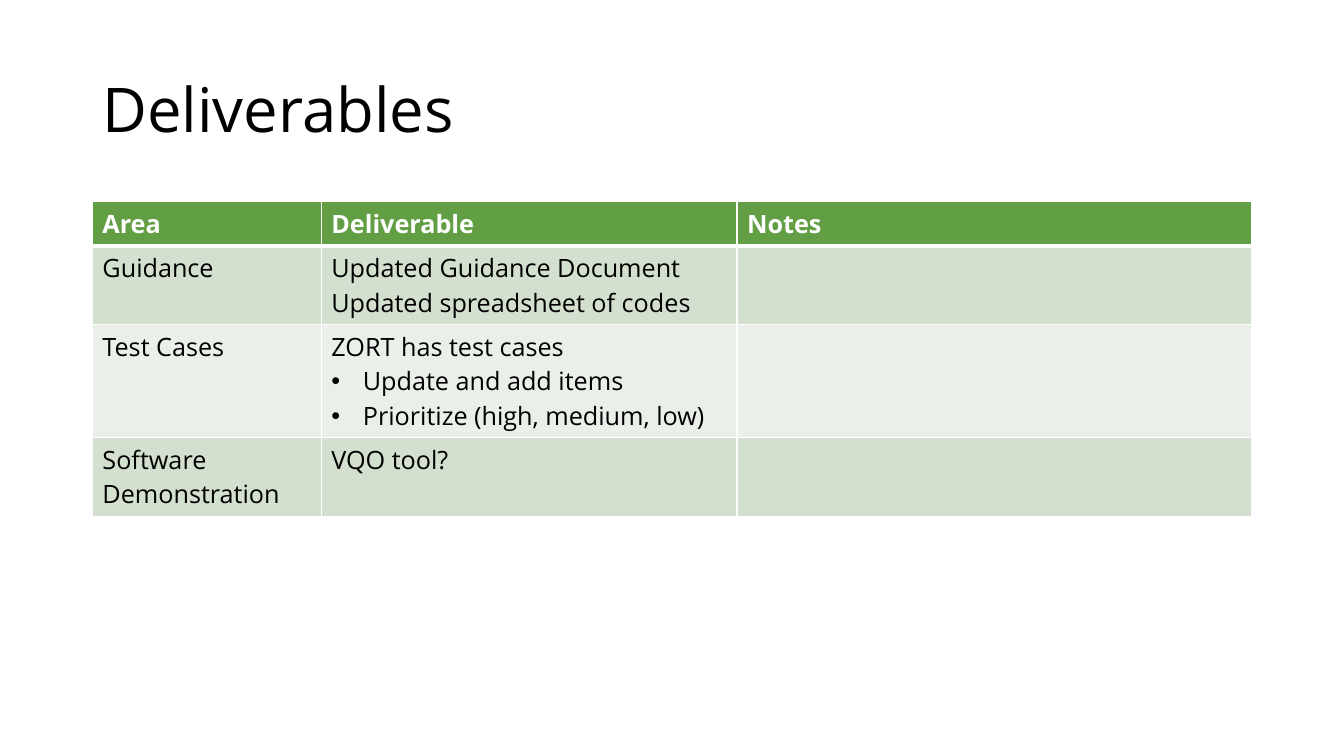
from dataclasses import dataclass
from lxml.etree import SubElement
from pptx import Presentation
from pptx.dml.color import RGBColor as Rgb
from pptx.enum.text import MSO_ANCHOR as Anchor, PP_ALIGN as Align
from pptx.oxml.ns import qn
from pptx.util import Pt

PX = 9525  # EMU per px, 96 px to the inch


@dataclass(frozen=True)
class Theme:
    font: str = "Open Sans"
    head: str = "629F44"
    bands: tuple = ("D3DFCF", "EAF0E9")
    ink: str = "000000"
    white: str = "FFFFFF"
    title: int = 44
    body: int = 18
    thin: int = 1
    thick: int = 3


THEME = Theme()
COLS = (218, 396, 490)
ROWS = (39, 67, 96, 67)
HEAD = ("Area", "Deliverable", "Notes")
# A leading bullet marks a list line
BODY = (
    ("Guidance", "Updated Guidance Document\nUpdated spreadsheet of codes", ""),
    ("Test Cases", "ZORT has test cases\n•Update and add items\n"
     "•Prioritize (high, medium, low)", ""),
    ("Software Demonstration", "VQO tool?", ""),
)


def px(*sizes):
    return [size * PX for size in sizes]


def add_run(para, text, size, color, bold=False):
    run = para.add_run()
    run.text = text
    font = run.font
    font.name, font.size, font.bold = THEME.font, Pt(size), bold
    font.color.rgb = Rgb.from_string(color)


def add_dot(para, indent=30):
    props = para._p.get_or_add_pPr()
    props.set("marL", str(indent * PX))
    props.set("indent", str(-indent * PX))
    SubElement(props, qn("a:buFont"), typeface="Arial")
    SubElement(props, qn("a:buChar"), char="•")


def set_edges(cell, top, bottom):
    props = cell._tc.get_or_add_tcPr()
    widths = {"L": THEME.thin, "R": THEME.thin, "T": top, "B": bottom}
    for index, (side, width) in enumerate(widths.items()):
        line = SubElement(props, qn(f"a:ln{side}"), w=str(Pt(width)))
        fill = SubElement(line, qn("a:solidFill"))
        SubElement(fill, qn("a:srgbClr"), val=THEME.white)
        props.insert(index, line)  # edges come before the fill


def fill_cell(cell, text, row):
    is_head = row == 0
    cell.fill.solid()
    shade = THEME.head if is_head else THEME.bands[(row - 1) % 2]
    cell.fill.fore_color.rgb = Rgb.from_string(shade)
    set_edges(cell, THEME.thick if row == 1 else THEME.thin,
              THEME.thick if is_head else THEME.thin)
    frame = cell.text_frame
    for index, line in enumerate(text.split("\n")):
        para = frame.add_paragraph() if index else frame.paragraphs[0]
        if line.startswith("•"):
            add_dot(para)
        if line:
            color = THEME.white if is_head else THEME.ink
            add_run(para, line.lstrip("•"), THEME.body, color, is_head)
        else:
            para.font.size = Pt(THEME.body)


def add_title(slide, box, text):
    title = slide.shapes.title
    title.left, title.top, title.width, title.height = px(*box)
    frame = title.text_frame
    frame.word_wrap = True
    frame.vertical_anchor = Anchor.MIDDLE
    para = frame.paragraphs[0]
    para.alignment, para.line_spacing = Align.LEFT, 0.9
    add_run(para, text, THEME.title, THEME.ink)


def add_grid(slide, box, rows):
    table = slide.shapes.add_table(len(rows), len(COLS), *px(*box)).table
    for col, width in zip(table.columns, px(*COLS)):
        col.width = width
    for row, height in zip(table.rows, px(*ROWS)):
        row.height = height
    for r, texts in enumerate(rows):
        for c, text in enumerate(texts):
            fill_cell(table.cell(r, c), text, r)


def main():
    deck = Presentation()
    deck.slide_width, deck.slide_height = px(1280, 720)
    slide = deck.slides.add_slide(deck.slide_layouts[5])
    add_title(slide, (88, 38, sum(COLS), 139), "Deliverables")
    add_grid(slide, (88, 192, sum(COLS), sum(ROWS)), (HEAD, *BODY))
    deck.save("out.pptx")


if __name__ == "__main__":
    main()
